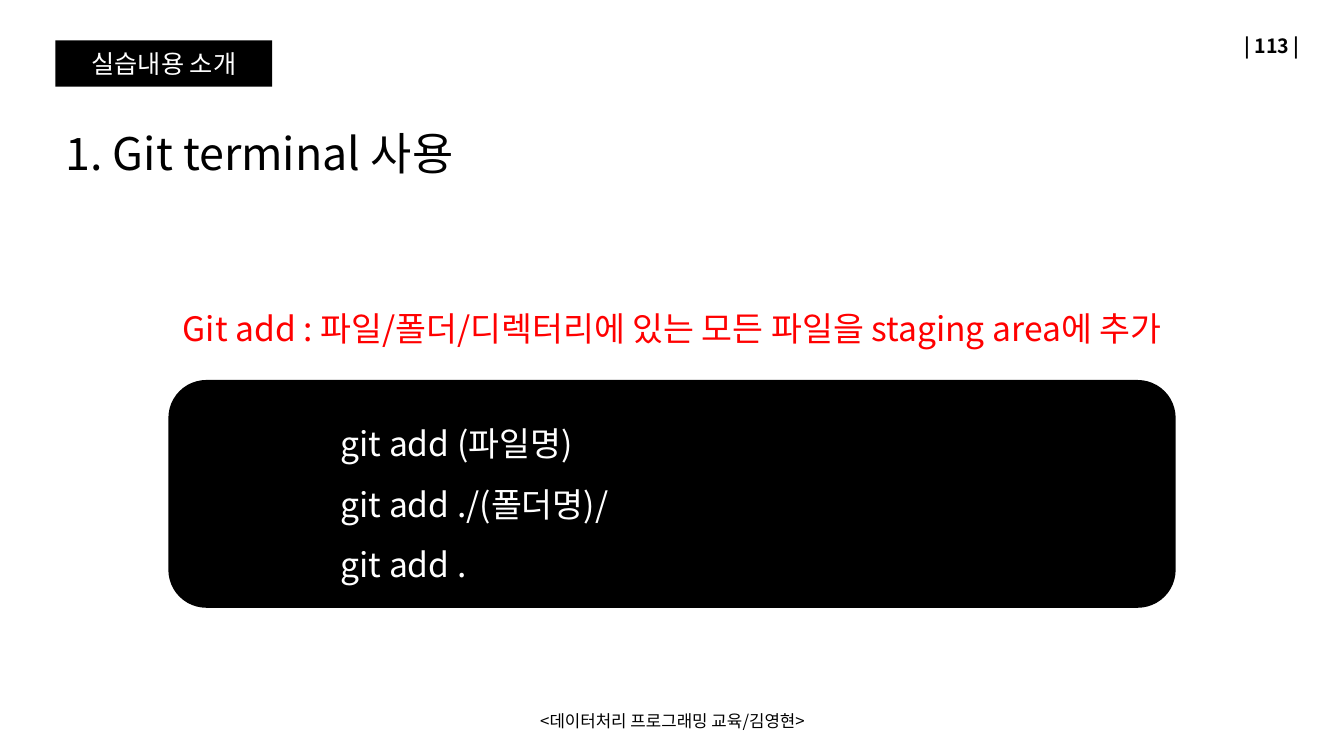
from lxml import etree
from pptx import Presentation
from pptx.dml.color import RGBColor
from pptx.enum.shapes import MSO_SHAPE
from pptx.enum.text import MSO_ANCHOR, MSO_AUTO_SIZE, PP_ALIGN
from pptx.oxml.ns import qn
from pptx.util import Inches, Pt

LEFT, CENTER, RIGHT = PP_ALIGN.LEFT, PP_ALIGN.CENTER, PP_ALIGN.RIGHT
TOP, MIDDLE, BOTTOM = MSO_ANCHOR.TOP, MSO_ANCHOR.MIDDLE, MSO_ANCHOR.BOTTOM
NO_FIT = MSO_AUTO_SIZE.NONE
RECT, ROUNDED = MSO_SHAPE.RECTANGLE, MSO_SHAPE.ROUNDED_RECTANGLE
TITLE_ONLY = 5
FONT = "Noto Sans CJK KR"
BLACK, WHITE, RED = "000000", "FFFFFF", "FF0000"


def colour(value):
    return RGBColor.from_string(value)


def write(shape, lines, size, ink=BLACK, align=LEFT, anchor=MIDDLE,
          spacing=1.0, indent=0, bold=False, wrap=True):
    frame = shape.text_frame
    frame.text = "\n".join(lines)
    frame.word_wrap = wrap
    frame.auto_size = NO_FIT
    frame.vertical_anchor = anchor
    for paragraph in frame.paragraphs:
        paragraph.alignment = align
        paragraph.line_spacing = spacing
        font = paragraph.font
        font.name = FONT
        font.size = Pt(size)
        font.bold = bold
        font.color.rgb = colour(ink)
        properties = paragraph._p.get_or_add_pPr()
        properties.set("marL", str(Inches(indent)))
        properties.set("indent", "0")
        defaults = properties.find(qn("a:defRPr"))
        etree.SubElement(defaults, qn("a:ea")).set("typeface", FONT)


def add_label(slide, box, line, size, **style):
    label = slide.shapes.add_textbox(*map(Inches, box))
    write(label, [line], size, **style)


def add_panel(slide, box, outline, lines, size, **style):
    panel = slide.shapes.add_shape(outline, *map(Inches, box))
    panel.shadow.inherit = False
    panel.fill.solid()
    panel.fill.fore_color.rgb = colour(BLACK)
    panel.line.fill.background()
    write(panel, lines, size, ink=WHITE, **style)


def add_title(slide, box, line):
    title = slide.shapes.title
    title.left, title.top, title.width, title.height = map(Inches, box)
    write(title, [line], 32, anchor=BOTTOM)


def build_git_add_slide(slide):
    add_label(slide, (9.99, 0.25, 3, 0.4), "| 113 |", 14, align=RIGHT, bold=True)
    add_panel(slide, (0.55, 0.4, 2.15, 0.46), RECT, ["실습내용 소개"], 18, align=CENTER)
    add_label(slide, (4.42, 6.95, 4.5, 0.4), "<데이터처리 프로그래밍 교육/김영현>", 12,
              align=CENTER)
    add_title(slide, (0.55, 1.12, 4.43, 0.71), "1. Git terminal 사용")
    add_label(slide, (1.37, 2.61, 10.59, 0.8),
              "Git add : 파일/폴더/디렉터리에 있는 모든 파일을 staging area에 추가", 24,
              ink=RED, align=CENTER, anchor=TOP, spacing=2.0, wrap=False)
    commands = ["git add (파일명)", "git add ./(폴더명)/", "git add ."]
    add_panel(slide, (1.67, 3.77, 9.99, 2.26), ROUNDED, commands, 24,
              spacing=1.5, indent=1.5)


def main():
    deck = Presentation()
    deck.slide_width, deck.slide_height = Inches(13.33), Inches(7.5)
    build_git_add_slide(deck.slides.add_slide(deck.slide_layouts[TITLE_ONLY]))
    deck.save("out.pptx")


if __name__ == "__main__":
    main()
